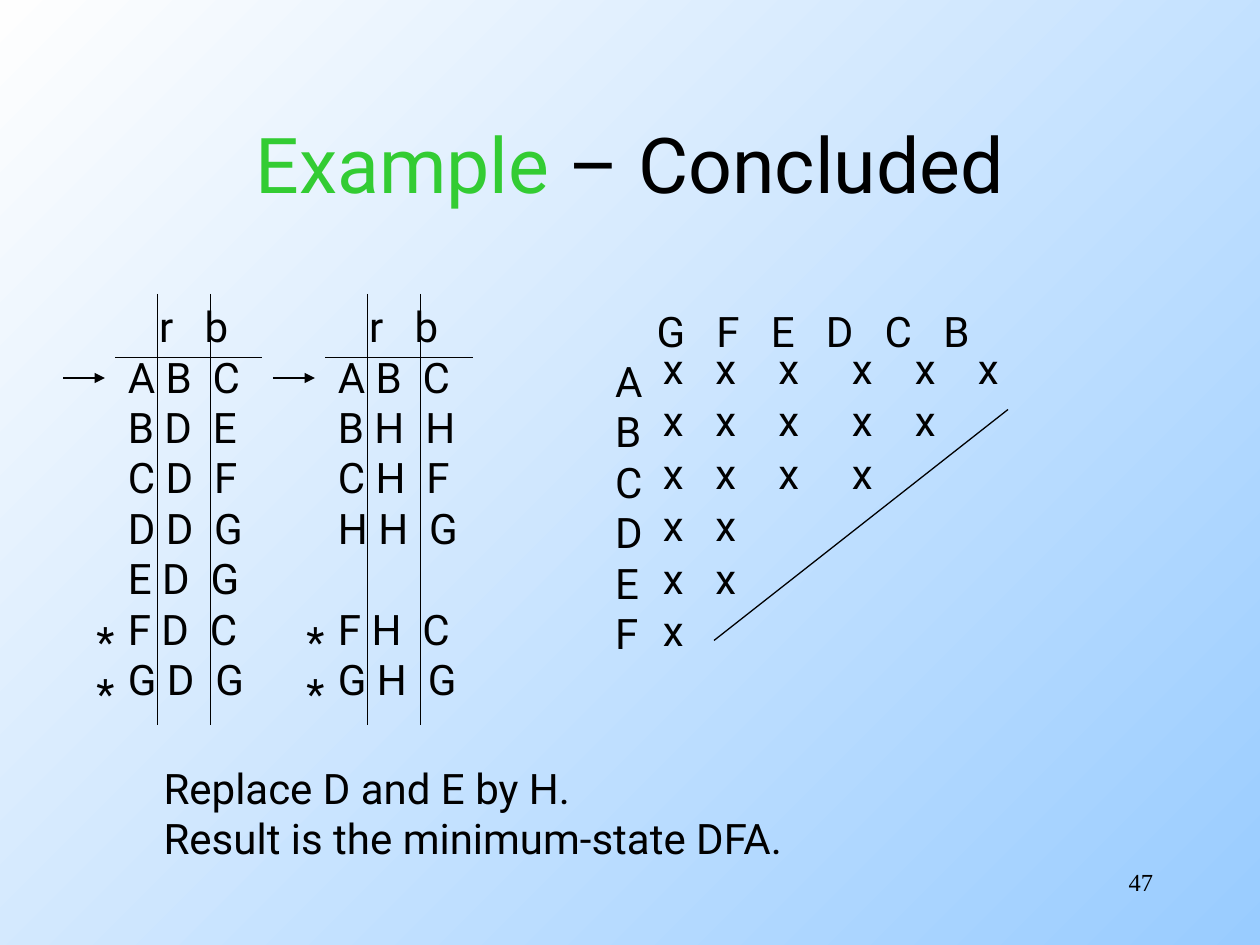
import pptx
import pptx.dml.color
import pptx.enum.shapes
import pptx.enum.text
import pptx.oxml.ns
import pptx.util
from lxml import etree


def colour(value):
    return pptx.dml.color.RGBColor.from_string(value)


class Slide:
    """Draws styled elements on a page ruled in cells of a twelfth of an inch."""

    CELL = pptx.util.Inches(1) // 12
    FONT, SIZE, INK, ACCENT = "Roboto", 24, "000000", "33CC33"
    SPACE = 5.94
    ALIGN = pptx.enum.text.PP_ALIGN

    def __init__(self, deck):
        self.page = deck.slides.add_slide(deck.slide_layouts[6])

    def cells(self, *counts):
        return [round(count * self.CELL) for count in counts]

    def background(self, *stops):
        fill = self.page.background.fill
        fill.gradient()
        fill.gradient_angle = 135
        for stop, value in zip(fill.gradient_stops, stops):
            stop.color.rgb = colour(value)

    def style(self, span, size=SIZE, ink=INK, font=FONT):
        span.font.size = pptx.util.Pt(size)
        span.font.name = font
        span.font.color.rgb = colour(ink)

    def text(self, left, top, width, height, words, align=ALIGN.LEFT, **look):
        box = self.page.shapes.add_textbox(*self.cells(left, top, width, height))
        box.text_frame.word_wrap = True
        box.text_frame.text = words
        for para in box.text_frame.paragraphs:
            para.alignment = align
            for span in para.runs:
                self.style(span, **look)
        return box.text_frame

    def title(self, left, top, width, height, accent, rest):
        frame = self.text(left, top, width, height, accent, self.ALIGN.CENTER,
                          size=44, ink=self.ACCENT)
        frame.vertical_anchor = pptx.enum.text.MSO_ANCHOR.MIDDLE
        span = frame.paragraphs[0].add_run()
        span.text = rest
        self.style(span, size=44)

    def spread(self, para, gaps, indent=0):
        letters = para.text
        para.text = letters[0]
        for gap, letter in zip(gaps, letters[1:]):
            space, span = para.add_run(), para.add_run()
            space.text, span.text = " ", letter
            space.font._element.set("spc", str(round((gap - 1) * self.SPACE * 100)))
        for span in para.runs:
            self.style(span)
        margin = pptx.util.Pt(indent * self.SPACE)
        para._p.get_or_add_pPr().set("marL", str(margin))

    def line(self, x1, y1, x2, y2, arrow=False):
        connector = self.page.shapes.add_connector(
            pptx.enum.shapes.MSO_CONNECTOR.STRAIGHT, *self.cells(x1, y1, x2, y2))
        connector.line.color.rgb = colour(self.INK)
        connector.line.width = pptx.util.Pt(0.75)
        if arrow:
            etree.SubElement(connector.line._get_or_add_ln(),
                             pptx.oxml.ns.qn("a:tailEnd"), type="triangle")
        etree.SubElement(connector._element.spPr, pptx.oxml.ns.qn("a:effectLst"))

    def transitions(self, left, rows, gap_before=None):
        frame = self.text(left, 28.05, 14.3, 39.6, "\n".join(["rb", *rows]))
        header, *body = frame.paragraphs
        self.spread(header, [3], indent=3)
        for para in body:
            if para.text[0] == gap_before:
                para.space_before = pptx.util.Pt(28.8)
            self.spread(para, [1, 2])
        for x in (left + 4, left + 9.03):
            self.line(x, 28, x, 69)
        self.line(left, 34.03, left + 14, 34.03)
        self.line(left - 5, 36, left - 1, 36, arrow=True)
        for top in (58, 63):
            self.text(left - 3, top, 4.6, 6, "*")

    def distinctions(self, columns, rows, counts):
        frame = self.text(57.4, 28.48, 37.4, 34.8, "\n".join([columns, *rows]))
        self.spread(frame.paragraphs[0], [3] * (len(columns) - 1), indent=4)
        self.line(68, 61, 96, 39)
        for row, count in enumerate(counts):
            for left in (62, 67, 73, 80, 86, 92)[:count]:
                self.text(left - 0.05, 32 + 5 * row, 4.4, 6, "x")


def main():
    deck = pptx.Presentation()
    deck.slide_width, deck.slide_height = pptx.util.Inches(10), pptx.util.Inches(7.5)
    slide = Slide(deck)
    slide.background("99CCFF", "FEFEFE")
    slide.title(9, 8, 102, 15, "Example", " – Concluded")
    slide.transitions(11, ["ABC", "BDE", "CDF", "DDG", "EDG", "FDC", "GDG"])
    slide.distinctions("GFEDCB", "ABCDEF", (6, 5, 4, 2, 2, 1))
    slide.transitions(31, ["ABC", "BHH", "CHF", "HHG", "FHC", "GHG"], gap_before="F")
    slide.text(14.4, 72, 64.7, 10.8,
               "Replace D and E by H.\nResult is the minimum-state DFA.")
    slide.text(86, 82, 25, 6, "47", Slide.ALIGN.RIGHT, size=14, font="Times New Roman")
    deck.save("out.pptx")


if __name__ == "__main__":
    main()
